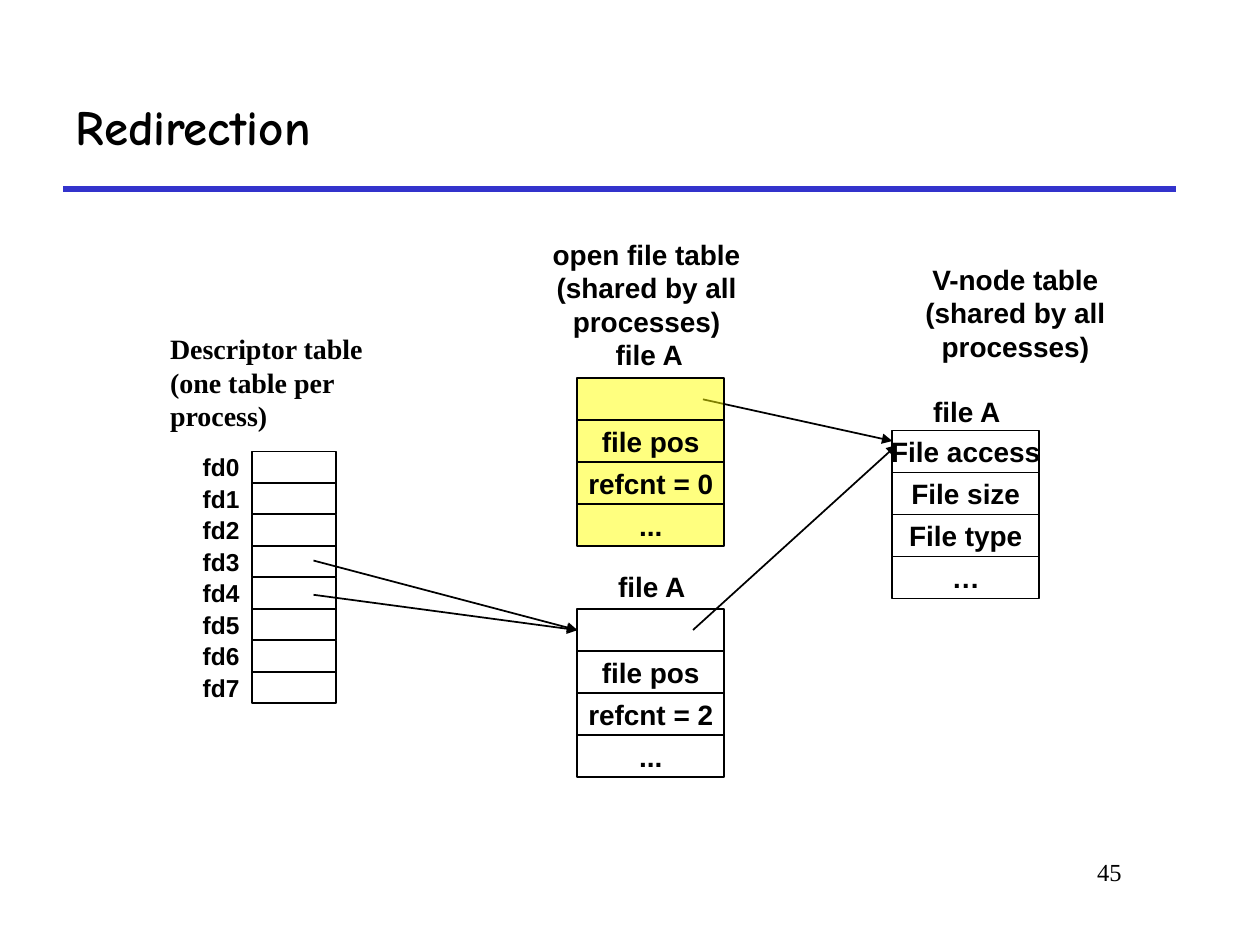
"""Build the Redirection slide: descriptor, open file and V-node tables."""
from dataclasses import dataclass
from typing import Optional

from lxml.etree import SubElement
from pptx import Presentation
from pptx.dml.color import RGBColor
from pptx.enum.shapes import MSO_CONNECTOR, MSO_SHAPE
from pptx.enum.text import MSO_ANCHOR, PP_ALIGN
from pptx.oxml.ns import qn
from pptx.util import Cm, Pt

BLACK = RGBColor(0x00, 0x00, 0x00)
WHITE = RGBColor(0xFF, 0xFF, 0xFF)
YELLOW = RGBColor(0xFF, 0xFF, 0x00)
BLUE = RGBColor(0x33, 0x33, 0xCC)

LABEL = {"name": "Arial", "size": Pt(16), "bold": True}
SMALL_LABEL = {**LABEL, "size": Pt(14)}
SERIF_LABEL = {**LABEL, "name": "Times New Roman"}
PAGE_NUMBER = {"name": "Times New Roman", "size": Pt(14), "bold": False}
TITLE = {"name": "Comic Neue", "size": Pt(28), "bold": True}


@dataclass
class Stack:
    """A column of equal cells, in centimetres."""
    left: float
    top: float
    width: float
    row_height: float
    rows: list[str]
    fill: Optional[RGBColor] = None


@dataclass
class Caption:
    """A free text, in centimetres."""
    lines: list[str]
    left: float
    top: float
    width: float
    height: float
    style: dict
    align: PP_ALIGN = PP_ALIGN.CENTER
    anchor: MSO_ANCHOR = MSO_ANCHOR.MIDDLE
    wrap: bool = True


ROW, FD_ROW = 2.54 / 3, 2.54 / 4
FD_COUNT = 8
DESCRIPTORS = Stack(5.08, 9.1, 1.7, FD_ROW, [""] * FD_COUNT)
V_NODE = Stack(17.99, 8.68, 2.96, ROW,
               ["File access", "File size", "File type", "…"], WHITE)
CLOSED_FILE = Stack(11.64, 7.62, 2.96, ROW,
                    ["", "file pos", "refcnt = 0", "..."], YELLOW)
OPEN_FILE = Stack(11.64, 12.28, 2.96, ROW,
                  ["", "file pos", "refcnt = 2", "..."])

SHARED = "(shared by all processes)"
CAPTIONS = [
    Caption(["open file table", SHARED], 9.96, 4.65, 6.15, 2.29, LABEL),
    Caption(["V-node table", SHARED], 18.08, 5.16, 4.78, 2.29, LABEL),
    Caption(["Descriptor table (one table per process)"], 3.18, 6.56, 4.45, 2.29,
            SERIF_LABEL, PP_ALIGN.LEFT, MSO_ANCHOR.TOP),
    Caption(["45"], 19.25, 17.15, 3.61, 1.27, PAGE_NUMBER,
            PP_ALIGN.RIGHT, MSO_ANCHOR.TOP),
] + [
    Caption(["file A"], left, top, 1.9, 0.94, LABEL, wrap=False)
    for left, top in [(12.14, 6.68), (12.19, 11.35), (18.54, 7.82)]
] + [
    Caption([f"fd{number}"], 3.38, DESCRIPTORS.top + number * FD_ROW, 1.7, FD_ROW,
            SMALL_LABEL, PP_ALIGN.RIGHT)
    for number in range(FD_COUNT)
]


def write(frame, lines: list[str], style: dict, align: PP_ALIGN,
          anchor: MSO_ANCHOR, wrap: bool) -> None:
    """Fill a text frame with formatted paragraphs."""
    frame.word_wrap = wrap
    frame.vertical_anchor = anchor
    for index, line in enumerate(lines):
        para = frame.add_paragraph() if index else frame.paragraphs[0]
        para.alignment = align
        span = para.add_run()
        span.text = line
        for name, value in style.items():
            setattr(span.font, name, value)
        span.font.color.rgb = BLACK


def add_caption(page, caption: Caption) -> None:
    """Add one free text."""
    box = page.shapes.add_textbox(Cm(caption.left), Cm(caption.top),
                                  Cm(caption.width), Cm(caption.height))
    write(box.text_frame, caption.lines, caption.style, caption.align,
          caption.anchor, caption.wrap)


def add_stack(page, stack: Stack) -> list:
    """Draw the cells of a stack and return them from top to bottom."""
    boxes = []
    for index, text in enumerate(stack.rows):
        box = page.shapes.add_shape(
            MSO_SHAPE.RECTANGLE, Cm(stack.left),
            Cm(stack.top + index * stack.row_height),
            Cm(stack.width), Cm(stack.row_height))
        box.shadow.inherit = False
        box.line.color.rgb = BLACK
        box.line.width = Pt(1)
        if stack.fill is None:
            box.fill.background()
        else:
            box.fill.solid()
            box.fill.fore_color.rgb = stack.fill
            color = box.fill._xPr.find(qn("a:solidFill"))[0]
            SubElement(color, qn("a:alpha"), val="50000")
        if text:
            write(box.text_frame, [text], LABEL, PP_ALIGN.CENTER,
                  MSO_ANCHOR.MIDDLE, False)
        boxes.append(box)
    return boxes


def add_line(page, start: tuple[float, float], end: tuple[float, float],
             color: RGBColor = BLACK, width: float = 1, arrow: bool = True):
    """Add a straight line, with an arrowhead at its end if wanted."""
    line = page.shapes.add_connector(
        MSO_CONNECTOR.STRAIGHT, *(Cm(value) for value in start + end))
    line.line.color.rgb = color
    line.line.width = Pt(width)
    if arrow:
        SubElement(line.line._get_or_add_ln(), qn("a:tailEnd"), type="triangle")
    SubElement(line._element.spPr, qn("a:effectLst"))
    return line


def add_title(page, text: str) -> None:
    """Place and format the title."""
    title = page.shapes.title
    place = {"left": 1.27, "top": 1.27, "width": 22.43, "height": 2.54}
    for name, value in place.items():
        setattr(title, name, Cm(value))
    write(title.text_frame, [text], TITLE, PP_ALIGN.LEFT, MSO_ANCHOR.MIDDLE, True)


def main() -> None:
    """Build and save the deck."""
    deck = Presentation()
    deck.slide_width, deck.slide_height = Cm(25.4), Cm(19.05)
    page = deck.slides.add_slide(deck.slide_layouts[5])
    add_title(page, "Redirection")
    add_line(page, (1.27, 3.81), (23.7, 3.81), BLUE, 3, arrow=False)

    add_stack(page, DESCRIPTORS)
    add_stack(page, V_NODE)
    add_line(page, (14.17, 8.05), (17.99, 8.89))
    add_line(page, (13.97, 12.7), (18.08, 8.97))
    add_stack(page, CLOSED_FILE)
    target = add_stack(page, OPEN_FILE)[0]
    for height in (11.3, 11.99):
        arrow = add_line(page, (6.32, height), (OPEN_FILE.left, 12.7))
        arrow.end_connect(target, 1)

    for caption in CAPTIONS:
        add_caption(page, caption)
    deck.save("out.pptx")


if __name__ == "__main__":
    main()
